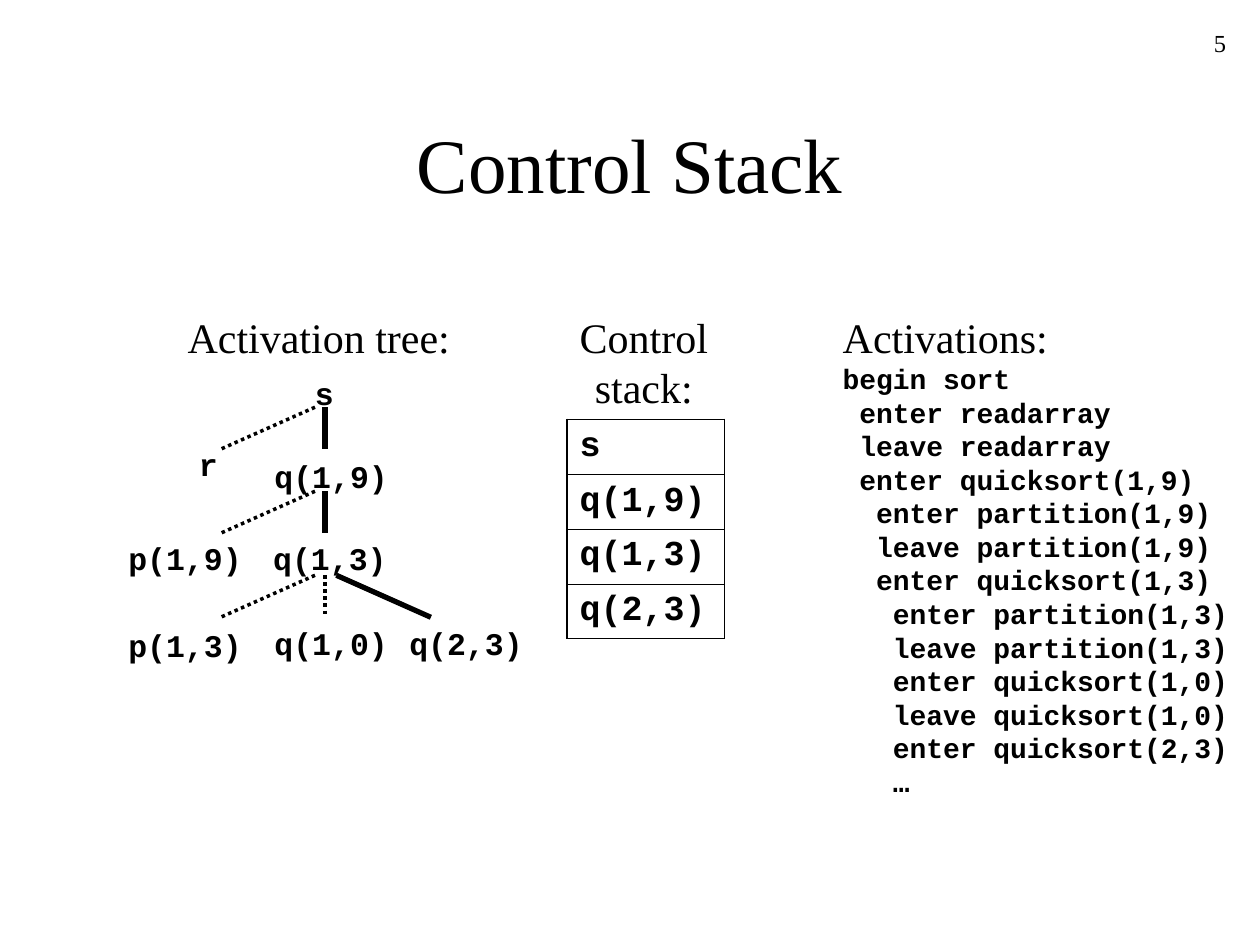
from pptx import Presentation
from pptx.dml.color import RGBColor
from pptx.enum.dml import MSO_LINE
from pptx.enum.shapes import MSO_CONNECTOR
from pptx.enum.text import MSO_ANCHOR, MSO_AUTO_SIZE, PP_ALIGN
from pptx.oxml.ns import qn
from pptx.util import Inches, Pt
from lxml.etree import SubElement, Element

COLORS = {"ink": "000000", "paper": "FFFFFF"}
SERIF = "Times New Roman"
MONO = "Courier New"
HEADING = 24
LABEL = 18
LABEL_HEIGHT = 0.4

TREE_LABELS = [
    ("s", 1.48, 0.5, 0.35),
    ("r", 0.56, 1.06, 0.35),
    ("q(1,9)", 1.16, 1.16, 1.1),
    ("p(1,9)", 0, 1.81, 1.1),
    ("q(1,3)", 1.15, 1.81, 1.1),
    ("p(1,3)", 0, 2.5, 1.1),
    ("q(1,0)", 1.16, 2.48, 1.1),
    ("q(2,3)", 2.23, 2.48, 1.1),
]
BRANCHES = {"left": (1.58, 0.83), "down": (1.66, 1.66), "right": (1.75, 2.5)}
TREE_EDGES = [
    (0, "left", False), (0, "down", True),
    (1, "left", False), (1, "down", True),
    (2, "left", False), (2, "down", False), (2, "right", True),
]
STACK = ["s", "q(1,9)", "q(1,3)", "q(2,3)"]
TRACE = [
    [
        "begin sort",
        " enter readarray",
        " leave readarray",
        " enter quicksort(1,9)",
        "  enter partition(1,9)",
        "  leave partition(1,9)",
        "  enter quicksort(1,3)",
        "   enter partition(1,3)",
        "   leave partition(1,3)",
        "   enter quicksort(1,0)",
    ],
    [
        "   leave quicksort(1,0)",
        "   enter quicksort(2,3)",
        "   …",
    ],
]


def color(name):
    return RGBColor.from_string(COLORS[name])


def add_run(paragraph, text, font, size, bold=False):
    run = paragraph.add_run()
    run.text = text
    run.font.name = font
    run.font.size = Pt(size)
    run.font.bold = bold
    run.font.color.rgb = color("ink")


def add_lines(paragraph, lines, font, size, bold=False):
    for index, line in enumerate(lines):
        if index:
            paragraph.add_line_break()
        add_run(paragraph, line, font, size, bold)


def add_text(slide, box, lines, font, size, bold=False, align=PP_ALIGN.LEFT, wrap=False):
    frame = slide.shapes.add_textbox(*map(Inches, box)).text_frame
    frame.word_wrap = wrap
    frame.auto_size = MSO_AUTO_SIZE.NONE if wrap else MSO_AUTO_SIZE.SHAPE_TO_FIT_TEXT
    paragraph = frame.paragraphs[0]
    paragraph.alignment = align
    add_lines(paragraph, lines, font, size, bold)
    return frame


def add_title(slide, box):
    title = slide.shapes.title
    title.left, title.top, title.width, title.height = map(Inches, box)
    frame = title.text_frame
    frame.vertical_anchor = MSO_ANCHOR.MIDDLE
    frame.paragraphs[0].alignment = PP_ALIGN.CENTER
    add_run(frame.paragraphs[0], "Control Stack", SERIF, 44)


def add_edge(slide, start, end, active):
    edge = slide.shapes.add_connector(
        MSO_CONNECTOR.STRAIGHT, *map(Inches, (*start, *end)))
    edge.line.color.rgb = color("ink")
    edge.line.width = Pt(3 if active else 2)
    if not active:
        edge.line.dash_style = MSO_LINE.ROUND_DOT
    SubElement(edge._element.spPr, qn("a:effectLst"))


def add_activation_tree(slide, box):
    left, top, width, height = box
    level_step = height * 0.23
    first_edge = height * 0.28
    for text, x, y, label_width in TREE_LABELS:
        add_text(slide, (left + x, top + y, label_width, LABEL_HEIGHT),
                 [text], MONO, LABEL, True)
    for level, branch, active in TREE_EDGES:
        start_x, end_x = BRANCHES[branch]
        y = top + first_edge + level * level_step
        add_edge(slide, (left + start_x, y),
                 (left + end_x, y + level_step / 2), active)
    add_text(slide, (left + 0.47, top, 2.28, 0.5), ["Activation tree:"],
             SERIF, HEADING, align=PP_ALIGN.CENTER)


def add_border(cell, side, points):
    border = Element(qn(f"a:{side}"), w=str(Pt(points)))
    fill = SubElement(border, qn("a:solidFill"))
    SubElement(fill, qn("a:srgbClr"), val=COLORS["ink"])
    return border


def add_control_stack(slide, box):
    left, top, width, height = box
    heading_height = 0.91
    add_text(slide, (left, top, 1.22, 0.9), ["Control", "stack:"],
             SERIF, HEADING, align=PP_ALIGN.CENTER)
    frames = slide.shapes.add_table(
        len(STACK), 1, Inches(left), Inches(top + heading_height),
        Inches(width), Inches(height - heading_height)).table
    frames.first_row = frames.horz_banding = False
    last = len(STACK) - 1
    for index, call in enumerate(STACK):
        cell = frames.cell(index, 0)
        cell.fill.background()
        cell.vertical_anchor = MSO_ANCHOR.MIDDLE
        add_run(cell.text_frame.paragraphs[0], call, MONO, 20, True)
        borders = {
            "lnL": 1.08,
            "lnR": 1.08,
            "lnT": 1.08 if index == 0 else 0.45,
            "lnB": 1.08 if index == last else 0.45,
        }
        properties = cell._tc.get_or_add_tcPr()
        for position, (side, points) in enumerate(borders.items()):
            properties.insert(position, add_border(cell, side, points))


def add_activations(slide, box):
    frame = add_text(slide, box, ["Activations:"], SERIF, HEADING)
    heading = frame.paragraphs[0]
    heading.add_line_break()
    add_lines(heading, TRACE[0], MONO, 16, True)
    add_lines(frame.add_paragraph(), TRACE[1], MONO, 16, True)


def main():
    deck = Presentation()
    deck.slide_width, deck.slide_height = Inches(10), Inches(7.5)
    slide = deck.slides.add_slide(deck.slide_layouts[5])
    slide.background.fill.solid()
    slide.background.fill.fore_color.rgb = color("paper")
    columns_top = 2.42
    add_title(slide, (0.75, 0.67, 8.5, 1.25))
    add_activation_tree(slide, (0.92, columns_top, 3.33, 2.9))
    add_activations(slide, (6.59, columns_top, 3.26, 3.97))
    add_control_stack(slide, (4.5, columns_top, 1.25, 2.65))
    add_text(slide, (7.75, 0.17, 2.08, 0.5), ["5"], SERIF, 14,
             align=PP_ALIGN.RIGHT, wrap=True)
    deck.save("out.pptx")


if __name__ == "__main__":
    main()
